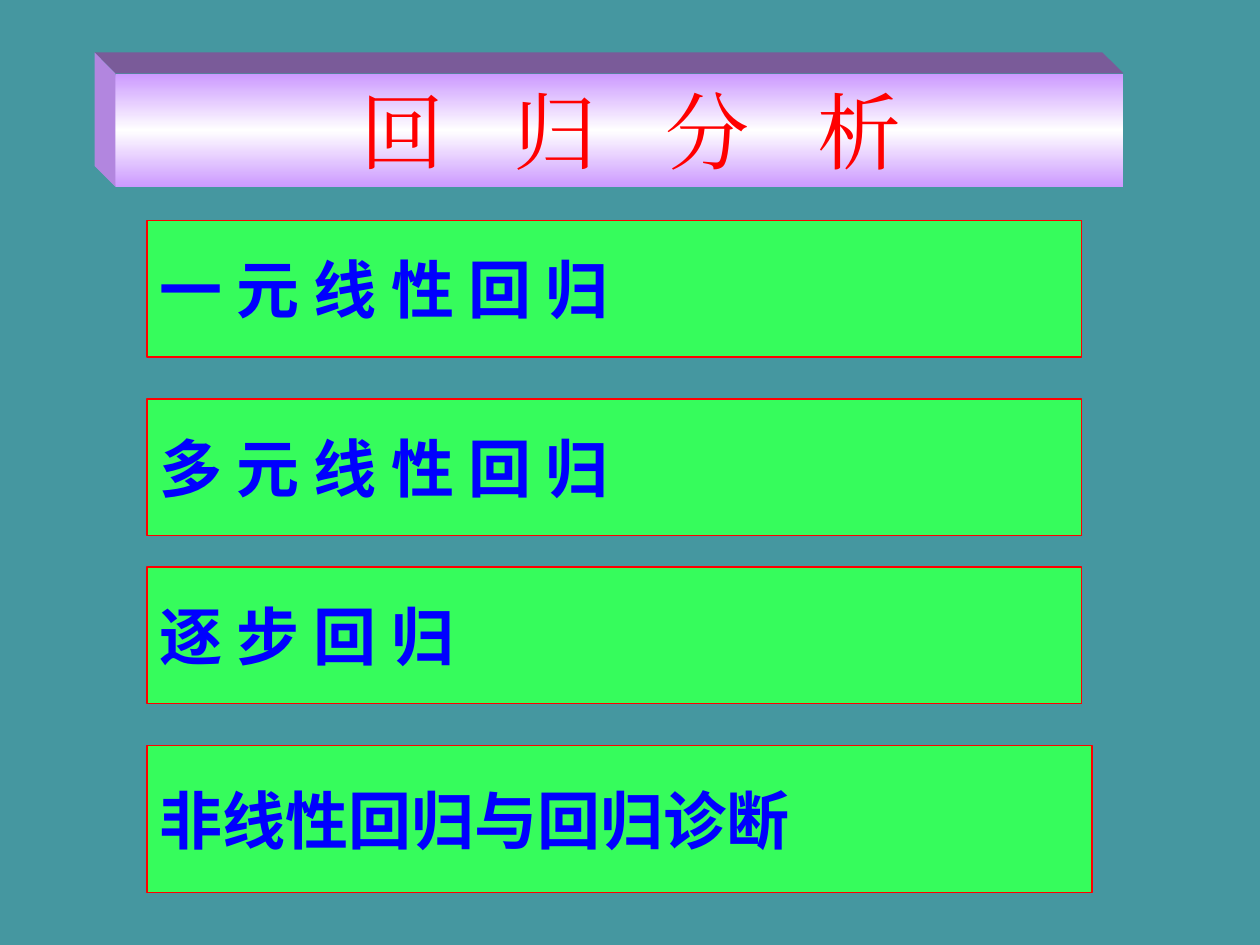
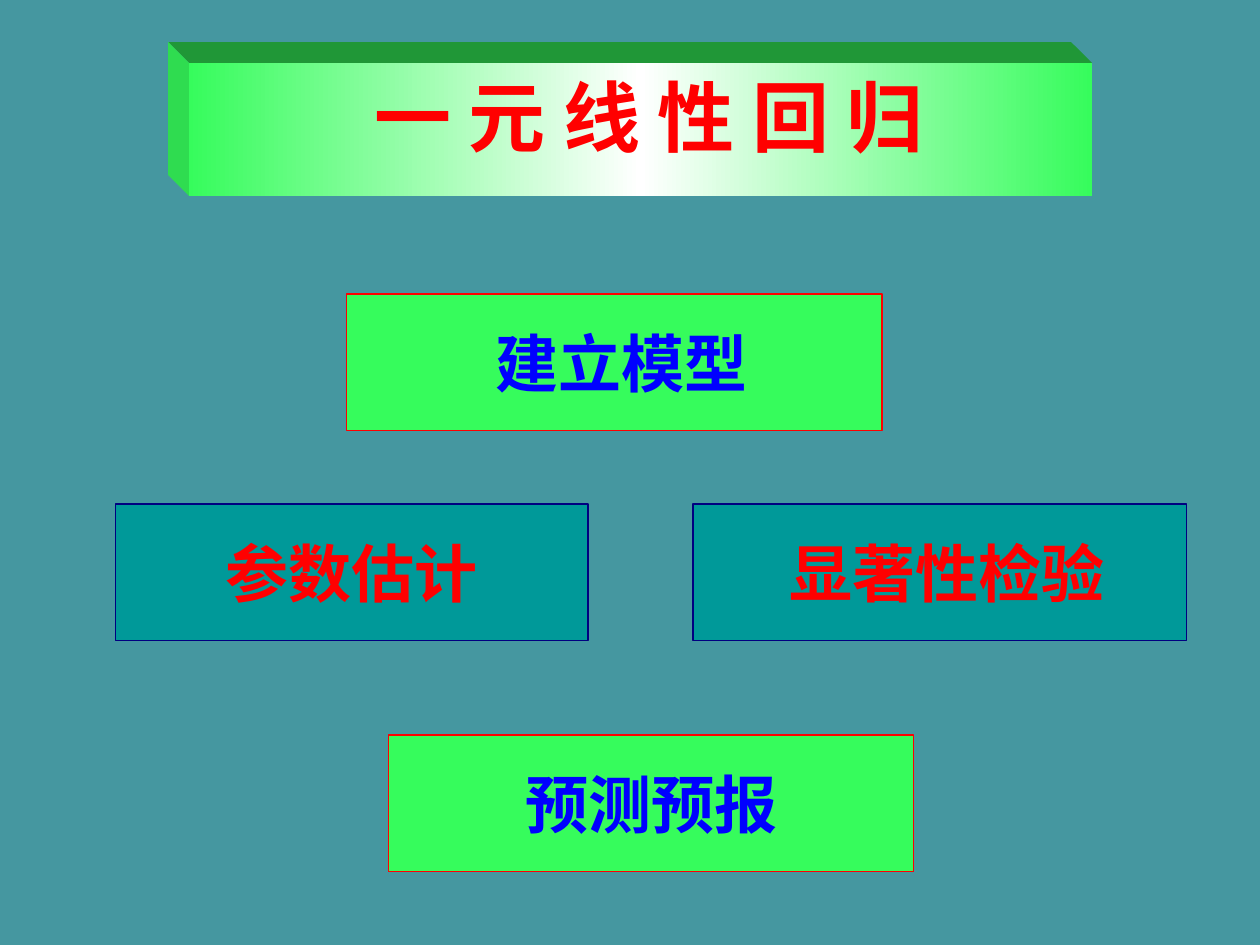
from copy import deepcopy
from pptx import Presentation
from pptx.dml.color import RGBColor
from pptx.enum.shapes import MSO_SHAPE as Kind
from pptx.enum.text import MSO_ANCHOR as Anchor, MSO_AUTO_SIZE as Fit, PP_ALIGN as Align
from pptx.oxml.ns import qn
from pptx.util import Pt

SANS, SERIF = "Noto Sans CJK SC", "Times New Roman"
TEAL, GREEN, LILAC, SEA = "4597A0", "36FC5C", "CC99FF", "009999"
RED, BLUE, NAVY, WHITE = "FF0000", "0000FF", "000080", "FFFFFF"
DEPTH = 12


def paint(item, tone):
    item.solid()
    item.fore_color.rgb = RGBColor.from_string(tone)


def write(shape, text, face, size, tone, bold, align, anchor):
    frame = shape.text_frame
    frame.text = text
    frame.word_wrap = True
    frame.auto_size = Fit.NONE
    frame.vertical_anchor = anchor
    para = frame.paragraphs[0]
    para.alignment = align
    font = para.runs[0].font
    font.name, font.size, font.bold = face, Pt(size), bold
    paint(font.fill, tone)
    east = font._element.makeelement(qn("a:ea"), {"typeface": face})
    font._element.find(qn("a:latin")).addnext(east)
    return font


deck = Presentation()
deck.slide_width, deck.slide_height = Pt(720), Pt(540)
paint(deck.slide_master.background.fill, TEAL)

pages = [
    {
        "title": ("回 归 分 析", SERIF, 48, RED, False, Align.CENTER, Anchor.MIDDLE),
        "bar": (66, 42, 576, 64.8), "angle": 90, "gap": 13.5,
        "tones": (LILAC, "7A5B99", "B286DF"),
        "align": Align.LEFT,
        "boxes": [
            ("一 元 线 性 回 归", 84, 126, 534, 78, GREEN, RED, BLUE),
            ("多 元 线 性 回 归", 84, 228, 534, 78, GREEN, RED, BLUE),
            ("逐 步 回 归", 84, 324, 534, 78, GREEN, RED, BLUE),
            ("非线性回归与回归诊断", 84, 426, 540, 84, GREEN, RED, BLUE),
        ],
    },
    {
        "title": (" 一 元 线 性 回 归", SANS, 44, RED, True, Align.CENTER, Anchor.TOP),
        "bar": (108, 36, 516, 76), "angle": 0, "gap": 0,
        "tones": (GREEN, "209737", "2FDC50"),
        "align": Align.CENTER,
        "boxes": [
            (" 建立模型", 198, 168, 306, 78, GREEN, RED, BLUE),
            ("参数估计", 66, 288, 270, 78, SEA, NAVY, RED),
            (" 显著性检验", 396, 288, 282, 78, SEA, NAVY, RED),
            ("预测预报", 222, 420, 300, 78, GREEN, RED, BLUE),
        ],
    },
]

for page in pages:
    slide = deck.slides.add_slide(deck.slide_layouts[5])
    shapes = slide.shapes
    left, top, width, height = page["bar"]
    front, roof, side = page["tones"]

    title = shapes.title
    title.left, title.top, title.width, title.height = map(Pt, page["bar"])
    font = write(title, *page["title"])
    if page["gap"]:
        font._element.set("spc", str(round(page["gap"] * 100)))
        title.text_frame.margin_left = Pt(7.2 + page["gap"])
    title.fill.gradient()
    title.fill.gradient_angle = page["angle"]
    stops = title._element.spPr.find(".//" + qn("a:gsLst"))
    stops.append(deepcopy(stops[0]))
    for stop, place, tone in zip(title.fill.gradient_stops, (0, 0.5, 1), (front, WHITE, front)):
        stop.position = place
        stop.color.rgb = RGBColor.from_string(tone)

    right, base = left + width, top + height
    back, rise = left - DEPTH, top - DEPTH
    faces = [
        (roof, [(back, rise), (right - DEPTH, rise), (right, top), (left, top)]),
        (side, [(back, rise), (left, top), (left, base), (back, base - DEPTH)]),
    ]
    for tone, spots in faces:
        spots = [(Pt(x), Pt(y)) for x, y in spots]
        pen = shapes.build_freeform(*spots[0])
        pen.add_line_segments(spots[1:])
        face = pen.convert_to_shape()
        face.shadow.inherit = False
        paint(face.fill, tone)
        face.line.fill.background()

    for text, x, y, w, h, fill, edge, ink in page["boxes"]:
        box = shapes.add_shape(Kind.ACTION_BUTTON_CUSTOM, Pt(x), Pt(y), Pt(w), Pt(h))
        box.shadow.inherit = False
        paint(box.fill, fill)
        paint(box.line.fill, edge)
        box.line.width = Pt(0.75)
        write(box, text, SANS, 36, ink, True, page["align"], Anchor.MIDDLE)

deck.save("out.pptx")
